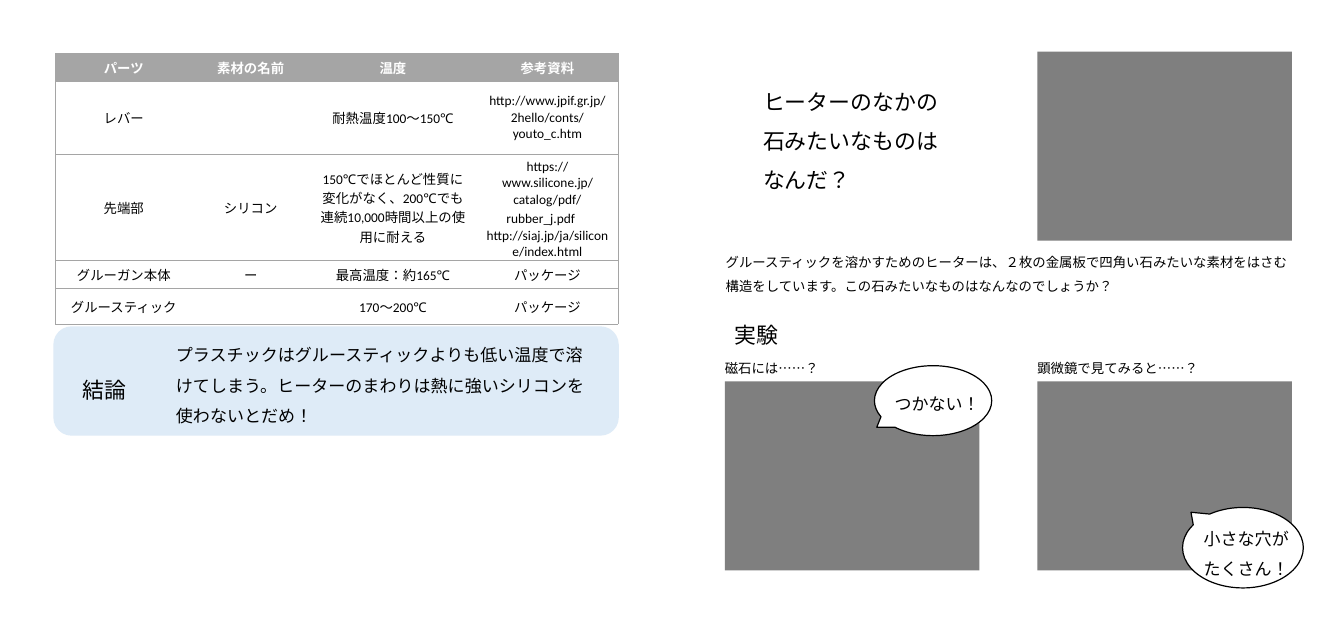
from dataclasses import dataclass

from lxml.etree import SubElement
from pptx import Presentation
from pptx.dml.color import RGBColor as RGB
from pptx.enum.lang import MSO_LANGUAGE_ID as Lang
from pptx.enum.shapes import MSO_SHAPE as Shape
from pptx.enum.text import MSO_ANCHOR as Anchor, MSO_AUTO_SIZE as AutoSize, PP_ALIGN as Align
from pptx.oxml.ns import qn
from pptx.util import Cm, Inches, Pt

# Lengths are columns and rows of a grid of tenth-of-an-inch squares
PHOTO_SIZE = (29.1, 21.6)
LEFT_PHOTO, RIGHT_PHOTO = 82.8, 118.5
PLAIN_TABLE = "{2D5ABB26-0587-4C30-8999-92F81FD0307C}"

MATERIALS = [
    ("パーツ", "素材の名前", "温度", "参考資料"),
    ("レバー", "", "耐熱温度100〜150℃", "http://www.jpif.gr.jp/2hello/conts/youto_c.htm"),
    ("先端部", "シリコン",
     "150℃でほとんど性質に変化がなく、200℃でも連続10,000時間以上の使用に耐える",
     "https://www.silicone.jp/catalog/pdf/rubber_j.pdf　http://siaj.jp/ja/silicone/index.html"),
    ("グルーガン本体", "ー", "最高温度：約165℃", "パッケージ"),
    ("グルースティック", "", "170〜200℃", "パッケージ"),
]


@dataclass(frozen=True)
class Theme:
    font: str = "Calibri"
    text: str = "000000"
    paper: str = "FFFFFF"
    photo: str = "7F7F7F"
    rule: str = "A5A5A5"
    panel: str = "DEEBF7"
    small: float = 11
    medium: float = 14
    large: float = 18
    rule_width: float = 0.23
    outline: float = 1
    leading: float = 1.5


def grid(*cells):
    return [Inches(c / 10) for c in cells]


class Board:
    def __init__(self, slide, theme):
        self.shapes = slide.shapes
        self.theme = theme

    def style(self, p, size, color=None, bold=False):
        for r in p.runs:
            r.font.name = self.theme.font
            r.font.size = Pt(size)
            r.font.bold = bold
            r.font.language_id = Lang.JAPANESE
            r.font.color.rgb = RGB.from_string(color or self.theme.text)

    def block(self, kind, x, y, w, h, fill, line=None, adjust=()):
        sp = self.shapes.add_shape(kind, *grid(x, y, w, h))
        sp.shadow.inherit = False
        sp.fill.solid()
        sp.fill.fore_color.rgb = RGB.from_string(fill)
        if line:
            sp.line.color.rgb = RGB.from_string(line)
            sp.line.width = Pt(self.theme.outline)
        else:
            sp.line.fill.background()
        for i, value in enumerate(adjust):
            sp.adjustments[i] = value

    def photo(self, x, y):
        self.block(Shape.RECTANGLE, x, y, *PHOTO_SIZE, self.theme.photo)

    def text(self, x, y, w, h, text, size, padding=0):
        tf = self.shapes.add_textbox(*grid(x, y, w, h)).text_frame
        tf.word_wrap = True
        tf.auto_size = AutoSize.SHAPE_TO_FIT_TEXT
        tf.margin_left, tf.margin_right = grid(padding, padding)
        tf.margin_top, tf.margin_bottom = grid(padding / 2, padding / 2)
        tf.text = text
        for p in tf.paragraphs:
            p.line_spacing = self.theme.leading
            self.style(p, size)

    def heading(self, x, y, w, h, text):
        self.text(x, y, w, h, text, self.theme.large, padding=1)

    def callout(self, x, y, w, h, tail, text, text_box):
        self.block(Shape.OVAL_CALLOUT, x, y, w, h, self.theme.paper, self.theme.text, tail)
        self.text(*text_box, text, self.theme.medium)

    def border(self, cell, visible):
        tc_pr = cell._tc.get_or_add_tcPr()
        for side in "LRTB":
            ln = SubElement(tc_pr, qn(f"a:ln{side}"), w=str(Pt(self.theme.rule_width)))
            if side in visible:
                solid = SubElement(ln, qn("a:solidFill"))
                SubElement(solid, qn("a:srgbClr"), val=self.theme.rule)
            else:
                SubElement(ln, qn("a:noFill"))

    def table(self, x, y, widths, heights, rows):
        frame = self.shapes.add_table(len(heights), len(widths),
                                      *grid(x, y, sum(widths), sum(heights)))
        table = frame.table
        table._tbl.tblPr.find(qn("a:tableStyleId")).text = PLAIN_TABLE
        table.first_row = table.horz_banding = False
        for column, width in zip(table.columns, grid(*widths)):
            column.width = width
        for row, height in zip(table.rows, grid(*heights)):
            row.height = height
        last = len(widths) - 1
        for i, row in enumerate(rows):
            for j, text in enumerate(row):
                cell = table.cell(i, j)
                self.border(cell, "TB" + "L" * (j == 0) + "R" * (j == last))
                self.fill_cell(cell, text, header=i == 0)
        return table

    def fill_cell(self, cell, text, header):
        t = self.theme
        cell.vertical_anchor = Anchor.MIDDLE
        if header:
            cell.fill.solid()
            cell.fill.fore_color.rgb = RGB.from_string(t.rule)
        else:
            cell.fill.background()
        if text:
            cell.text_frame.text = text
            p = cell.text_frame.paragraphs[0]
            p.alignment = Align.CENTER
            self.style(p, t.small, t.paper if header else t.text, header)


def main():
    prs = Presentation()
    prs.slide_width = Cm(39)
    prs.slide_height = Cm(18)
    t = Theme()
    s = Board(prs.slides.add_slide(prs.slide_layouts[6]), t)

    # Materials and their heat resistance
    materials = s.table(6.3, 6.1, (15.7, 13.3, 19.2, 16.1), (3.2, 8.3, 12, 3.2, 3.2), MATERIALS)
    materials.cell(2, 3).margin_bottom = 0  # room for six lines of links

    # Conclusion
    s.block(Shape.ROUNDED_RECTANGLE, 6.1, 37.3, 64.6, 12.5, t.panel)
    s.heading(8.4, 41, 7.3, 5.5, "結論")
    s.text(20.1, 38.2, 46.9, 10.5,
           "プラスチックはグルースティックよりも低い温度で溶けてしまう。"
           "ヒーターのまわりは熱に強いシリコンを使わないとだめ！", t.medium)

    # Question about the heater
    s.heading(86.2, 8.1, 22.3, 14.5, "ヒーターのなかの\n石みたいなものは\nなんだ？")
    s.photo(RIGHT_PHOTO, 5.9)
    s.text(82.9, 28.1, 64.4, 5.5,
           "グルースティックを溶かすためのヒーターは、２枚の金属板で四角い石みたいな素材をはさむ"
           "構造をしています。この石みたいなものはなんなのでしょうか？", t.small)

    # Experiments
    s.heading(82.9, 34.8, 7.3, 5.5, "実験")
    for x, caption in ((LEFT_PHOTO, "磁石には……？"), (RIGHT_PHOTO, "顕微鏡で見てみると……？")):
        s.photo(x, 43.6)
        s.text(x, 40.2, PHOTO_SIZE[0], 2.8, caption, t.small)
    s.callout(99.9, 41.8, 13.4, 8, (-0.48, 0.38), "つかない！", (102.2, 43.8, 11, 3.5))
    s.callout(135.1, 58, 13.8, 9.2, (-0.43, -0.44), "小さな穴が\nたくさん！",
              (137.5, 59.2, 9.8, 7))

    prs.save("out.pptx")


if __name__ == "__main__":
    main()
